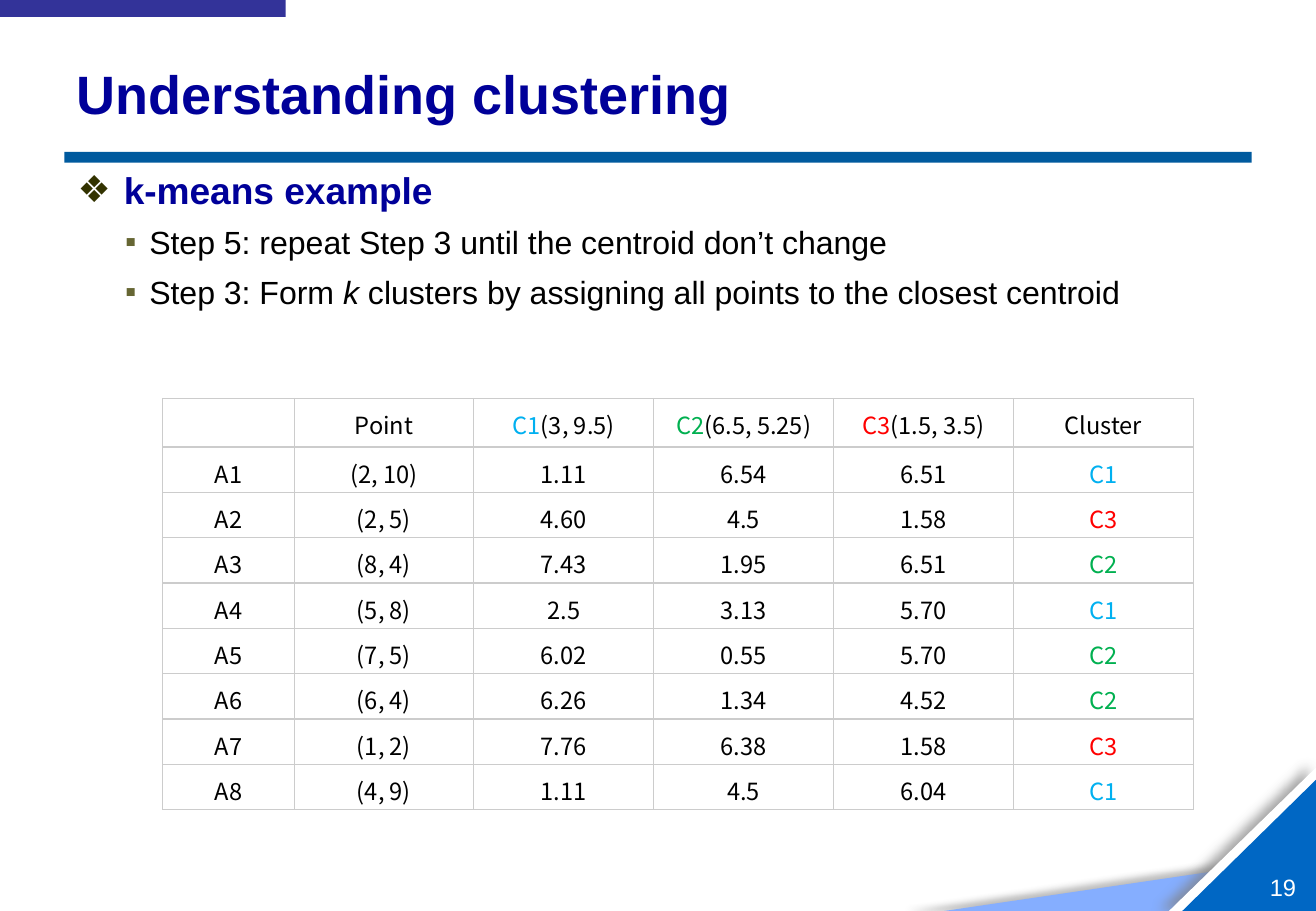
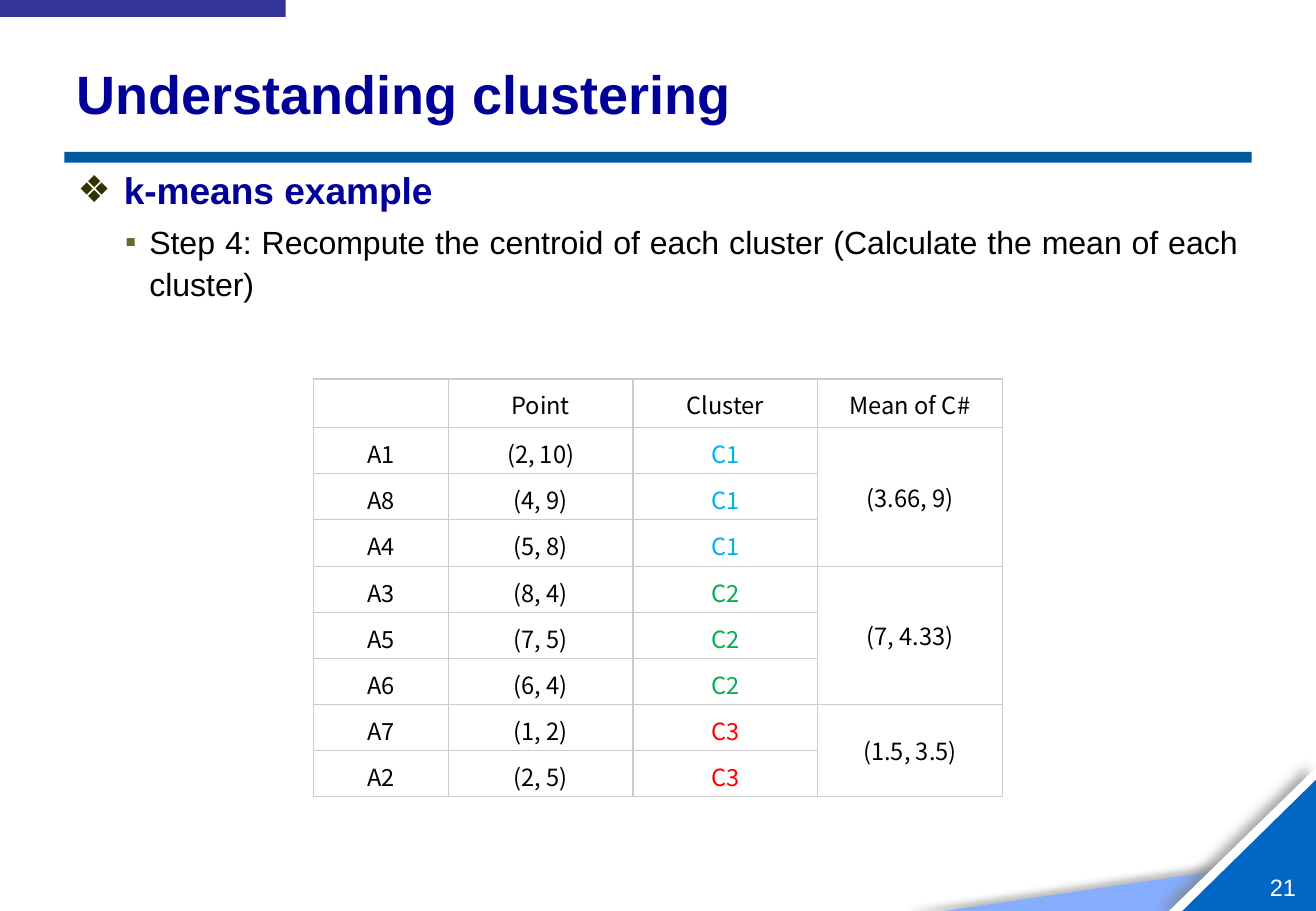
import itertools

import pptx
import pptx.util
import pptx.dml.color
import pptx.enum.shapes
import pptx.enum.text
import pptx.oxml
import pptx.oxml.ns

Inches, Pt = pptx.util.Inches, pptx.util.Pt
PRESET = pptx.enum.shapes.MSO_SHAPE
ALIGN = pptx.enum.text.PP_ALIGN
MIDDLE = pptx.enum.text.MSO_ANCHOR.MIDDLE

# ---- Content ----
TITLE = "Understanding clustering"
TOPIC = "k-means example"
POINTS = {"A1": "(2, 10)", "A2": "(2, 5)", "A3": "(8, 4)", "A4": "(5, 8)",
          "A5": "(7, 5)", "A6": "(6, 4)", "A7": "(1, 2)", "A8": "(4, 9)"}
DISTANCES = {  # distance to each centroid, then the closest cluster
    "A1": ("1.11", "6.54", "6.51", "C1"),
    "A2": ("4.60", "4.5", "1.58", "C3"),
    "A3": ("7.43", "1.95", "6.51", "C2"),
    "A4": ("2.5", "3.13", "5.70", "C1"),
    "A5": ("6.02", "0.55", "5.70", "C2"),
    "A6": ("6.26", "1.34", "4.52", "C2"),
    "A7": ("7.76", "6.38", "1.58", "C3"),
    "A8": ("1.11", "4.5", "6.04", "C1"),
}
MEANS = [("C1", "(3.66, 9)", ("A1", "A8", "A4")),
         ("C2", "(7, 4.33)", ("A3", "A5", "A6")),
         ("C3", "(1.5, 3.5)", ("A7", "A2"))]

distance_rows = [("", "Point", "C1(3, 9.5)", "C2(6.5, 5.25)", "C3(1.5, 3.5)", "Cluster")]
distance_rows += [(name, POINTS[name], *cells) for name, cells in DISTANCES.items()]

# None continues the cell above
mean_rows = [("", "Point", "Cluster", "Mean of C#")]
mean_rows += [(name, POINTS[name], cluster, None if i else mean)
              for cluster, mean, members in MEANS for i, name in enumerate(members)]

# Each step is a list of (text, italic) pieces
SLIDES = [
    {"number": "19",
     "steps": [[("Step 5: repeat Step 3 until the centroid don’t change", False)],
               [("Step 3: Form ", False), ("k", True),
                (" clusters by assigning all points to the closest centroid", False)]],
     "rows": distance_rows, "corner": (1.34, 3.28),
     "name_width": 1.08, "value_width": 1.48, "row_height": 0.36},
    {"number": "21",
     "steps": [[("Step 4: Recompute the centroid of each cluster "
                 "(Calculate the mean of each cluster)", False)]],
     "rows": mean_rows, "corner": (2.58, 3.12),
     "name_width": 1.11, "value_width": 1.52, "row_height": 0.38},
]

# ---- Shared look ----
WIDTH, HEIGHT = 10.83, 7.5
LEFT, SPAN = 0.53, 9.77
COLORS = {"heading": "000099", "text": "000000", "white": "FFFFFF", "grid": "CCCCCC",
          "tab": "333399", "rule": "005A9E", "sweep": "85AEFF", "corner": "0067C4",
          "topic bullet": "333300", "step bullet": "666633",
          "C1": "00B0F0", "C2": "00B050", "C3": "FF0000"}
TEXT_FONT, TABLE_FONT = "Arial", "Noto Sans CJK KR"

BANDS = [("tab", (0, 0, 2.35, 0.14)), ("rule", (LEFT, 1.25, SPAN, 0.09))]
# colour, width, height, shadow (colour, alpha %, blur pt, distance pt, degrees)
CORNERS = [("sweep", 3.06, 0.45, ("595959", 40, 4, 22, 180)),
           ("white", 1.21, 1.18, ("808080", 69, 7, 5, 190)),
           ("corner", 1.10, 1.08, None)]

TOPIC_STYLE = {"size": 22, "color": "heading", "bold": True, "bullet": "❖",
               "bullet_color": "topic bullet", "margin": 0.38, "hang": 0.38, "level": 0,
               "format": {"alignment": ALIGN.LEFT, "space_before": Pt(4.4)}}
STEP_STYLE = {"size": 19, "color": "text", "bold": False, "bullet": "▪",
              "bullet_color": "step bullet", "margin": 0.59, "hang": 0.2, "level": 1,
              "format": {"alignment": ALIGN.JUSTIFY, "line_spacing": 1.1,
                         "space_before": Pt(3.8), "space_after": Pt(1)}}


def rgb(name):
    return pptx.dml.color.RGBColor.from_string(COLORS[name])


def xml(tag, attributes="", inner=""):
    namespace = pptx.oxml.ns.nsdecls("a")
    return pptx.oxml.parse_xml(f"<a:{tag} {namespace} {attributes}>{inner}</a:{tag}>")


def solid(color):
    return f'<a:solidFill><a:srgbClr val="{color}"/></a:solidFill>'


def set_all(target, values):
    for name, value in values.items():
        setattr(target, name, value)


def add_run(paragraph, text, size, color, font=TEXT_FONT, bold=False, italic=False):
    run = paragraph.add_run()
    run.text = text
    set_all(run.font, {"name": font, "size": Pt(size), "bold": bold, "italic": italic})
    run.font.color.rgb = rgb(color)


def add_block(slide, preset, box, color):
    block = slide.shapes.add_shape(preset, *map(Inches, box))
    block.shadow.inherit = False
    block.fill.solid()
    block.fill.fore_color.rgb = rgb(color)
    block.line.fill.background()
    return block


def add_shadow(block, color, alpha, blur, distance, degrees):
    effects = block.element.spPr.find(pptx.oxml.ns.qn("a:effectLst"))
    effects.append(xml(
        "outerShdw",
        f'blurRad="{Pt(blur)}" dist="{Pt(distance)}" dir="{degrees * 60000}" '
        'algn="ctr" rotWithShape="0"',
        f'<a:srgbClr val="{color}"><a:alpha val="{alpha * 1000}"/></a:srgbClr>'))


def add_frame(slide, number):
    # Corner triangles, all anchored at the bottom right
    for color, width, height, shadow in CORNERS:
        triangle = add_block(slide, PRESET.RIGHT_TRIANGLE,
                             (WIDTH - width, HEIGHT - height, width, height), color)
        triangle.element.spPr.find(pptx.oxml.ns.qn("a:xfrm")).set("flipH", "1")
        if shadow:
            add_shadow(triangle, *shadow)
    # Page number
    page = slide.shapes.add_textbox(*map(Inches, (10.45, 7.18, 0.25, 0.24))).text_frame
    set_all(page, {"word_wrap": False, "vertical_anchor": MIDDLE, "margin_left": 0,
                   "margin_right": 0, "margin_top": 0, "margin_bottom": 0})
    add_run(page.paragraphs[0], number, 14, "white")
    # Top tab and title rule
    for color, box in BANDS:
        add_block(slide, PRESET.RECTANGLE, box, color)


def add_title(slide):
    title = slide.shapes.title
    set_all(title, dict(zip(("left", "top", "width", "height"),
                            map(Inches, (LEFT, 0.35, SPAN, 0.83)))))
    title.text_frame.vertical_anchor = MIDDLE
    heading = title.text_frame.paragraphs[0]
    heading.alignment = ALIGN.LEFT
    add_run(heading, TITLE, 32, "heading", bold=True)


def add_outline(slide, steps):
    outline = slide.shapes.add_textbox(*map(Inches, (0.54, 1.33, 9.75, 5.4))).text_frame
    outline.word_wrap = True
    items = [([(TOPIC, False)], TOPIC_STYLE)] + [(step, STEP_STYLE) for step in steps]
    for i, (pieces, style) in enumerate(items):
        item = outline.add_paragraph() if i else outline.paragraphs[0]
        item.level = style["level"]
        set_all(item, style["format"])
        properties = item._p.get_or_add_pPr()
        properties.set("marL", str(Inches(style["margin"])))
        properties.set("indent", str(-Inches(style["hang"])))
        properties.append(xml("buClr", "",
                              f'<a:srgbClr val="{COLORS[style["bullet_color"]]}"/>'))
        properties.append(xml("buFont", f'typeface="{TEXT_FONT}"'))
        properties.append(xml("buChar", f'char="{style["bullet"]}"'))
        for text, italic in pieces:
            add_run(item, text, style["size"], style["color"],
                    bold=style["bold"], italic=italic)


def fill_cell(cell, text):
    cell.fill.background()
    properties = cell._tc.get_or_add_tcPr()
    for i, side in enumerate(("lnL", "lnR", "lnT", "lnB")):
        properties.insert(i, xml(side, f'w="{Pt(0.75)}"', solid(COLORS["grid"])))
    if not text:
        return
    set_all(cell, {"vertical_anchor": MIDDLE, **{
        f"margin_{side}": Inches(0.07) for side in ("left", "right", "top", "bottom")}})
    paragraph = cell.text_frame.paragraphs[0]
    paragraph.alignment = ALIGN.CENTER
    # A leading cluster name takes the cluster's colour
    cluster = text[:2] if text[:2] in COLORS else ""
    for piece, color in ((cluster, cluster), (text[len(cluster):], "text")):
        if piece:
            add_run(paragraph, piece, 14, color, TABLE_FONT)


def add_grid(slide, rows, corner, name_width, value_width, row_height):
    widths = [name_width] + [value_width] * (len(rows[0]) - 1)
    box = (*corner, sum(widths), row_height * len(rows))
    table = slide.shapes.add_table(len(rows), len(widths), *map(Inches, box)).table
    set_all(table, {"first_row": False, "horz_banding": False})
    for column, width in zip(table.columns, widths):
        column.width = Inches(width)
    for row in table.rows:
        row.height = Inches(row_height)
    for r, c in itertools.product(range(len(rows)), range(len(widths))):
        fill_cell(table.cell(r, c), rows[r][c])
        last = r
        while last + 1 < len(rows) and rows[last + 1][c] is None:
            last += 1
        if rows[r][c] is not None and last > r:
            table.cell(r, c).merge(table.cell(last, c))


def main():
    deck = pptx.Presentation()
    deck.slide_width, deck.slide_height = Inches(WIDTH), Inches(HEIGHT)
    title_only = deck.slide_layouts[5]
    for page in SLIDES:
        slide = deck.slides.add_slide(title_only)
        add_frame(slide, page["number"])
        add_title(slide)
        add_outline(slide, page["steps"])
        add_grid(slide, page["rows"], page["corner"], page["name_width"],
                 page["value_width"], page["row_height"])
    deck.save("out.pptx")


if __name__ == "__main__":
    main()
